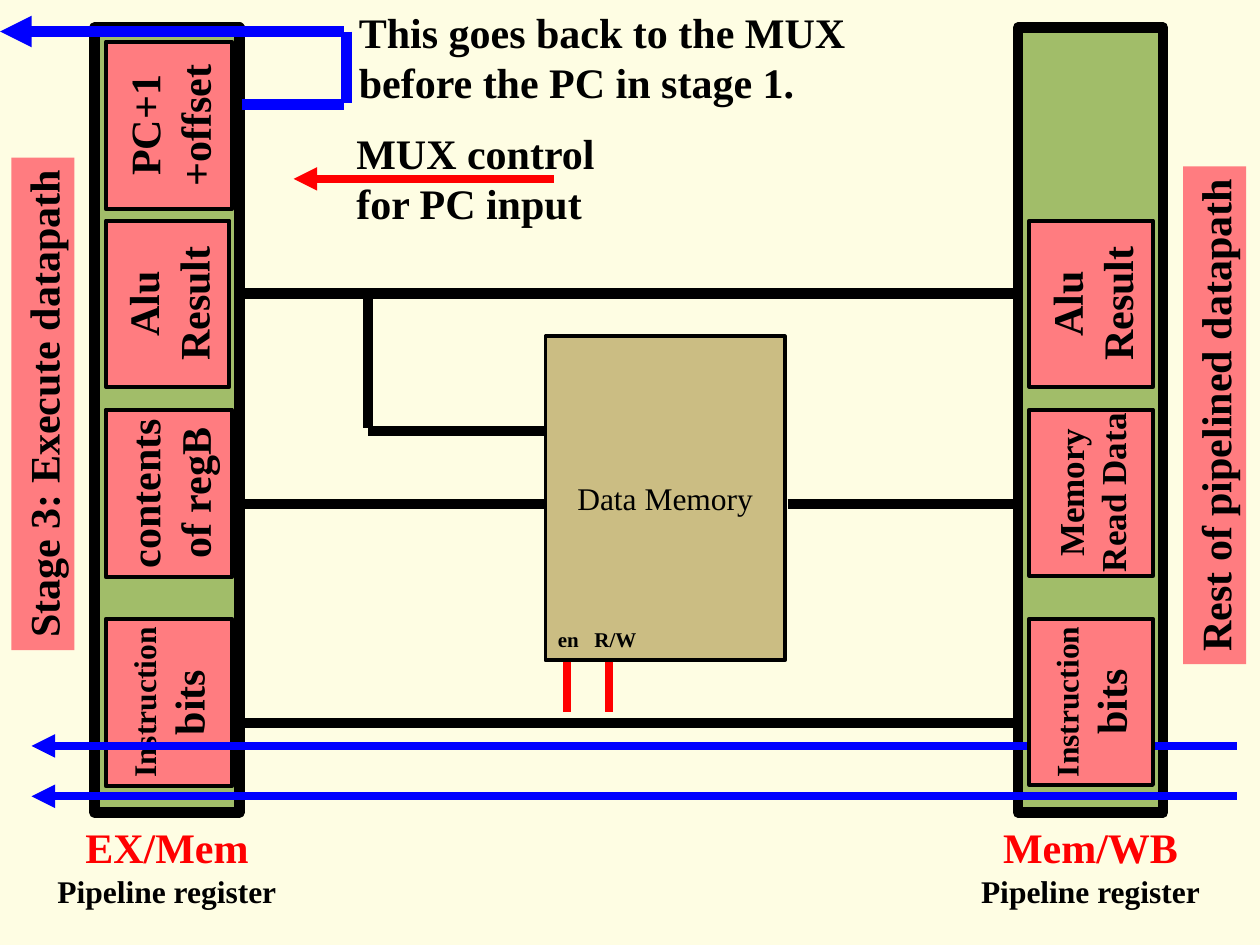
from dataclasses import dataclass

from lxml import etree
from pptx import Presentation
from pptx.dml.color import RGBColor
from pptx.enum import shapes, text
from pptx.oxml import ns
from pptx.util import Inches, Pt

BLACK = RGBColor(0x00, 0x00, 0x00)
RED = RGBColor(0xFF, 0x00, 0x00)
BLUE = RGBColor(0x00, 0x00, 0xFF)
CREAM = RGBColor(0xFE, 0xFD, 0xE3)
GREEN = RGBColor(0xA1, 0xBD, 0x69)
PINK = RGBColor(0xFF, 0x7C, 0x80)
TAN = RGBColor(0xCB, 0xBD, 0x83)
FONT = "Times New Roman"
LEFT, CENTER = text.PP_ALIGN.LEFT, text.PP_ALIGN.CENTER


@dataclass
class Line:
    """One paragraph of a label."""
    words: str
    size: float = 24
    color: RGBColor = BLACK
    bold: bool = True


@dataclass
class Wire:
    x1: float
    y1: float
    x2: float
    y2: float
    color: RGBColor = BLACK
    width: float = 6
    arrow: bool = False


@dataclass
class Field:
    """A value held in a pipeline register."""
    top: float
    lines: list[Line]


def write(sp, lines: list[Line], align, wrap: bool = False) -> None:
    tf = sp.text_frame
    tf.word_wrap = wrap
    for i, line in enumerate(lines):
        p = tf.paragraphs[0] if i == 0 else tf.add_paragraph()
        p.text, p.alignment = line.words, align
        p.font.name, p.font.size = FONT, Pt(line.size)
        p.font.bold, p.font.color.rgb = line.bold, line.color


def add_text(s, x: float, y: float, w: float, h: float,
             lines: list[Line], align=LEFT, wrap: bool = False) -> None:
    write(s.shapes.add_textbox(Inches(x), Inches(y), Inches(w), Inches(h)),
          lines, align, wrap)


def add_box(s, x: float, y: float, w: float, h: float, fill: RGBColor,
            border: float = 0, lines: list[Line] | None = None,
            align=CENTER, upward: bool = False) -> None:
    """Draw a box by its visible bounds; upward text turns it by 270 degrees."""
    if upward:
        x, y, w, h = x + (w - h) / 2, y + (h - w) / 2, h, w
    sp = s.shapes.add_shape(shapes.MSO_SHAPE.RECTANGLE,
                            Inches(x), Inches(y), Inches(w), Inches(h))
    sp.rotation = 270 if upward else 0
    sp.shadow.inherit = False
    sp.fill.solid()
    sp.fill.fore_color.rgb = fill
    if border:
        sp.line.color.rgb, sp.line.width = BLACK, Pt(border)
    else:
        sp.line.fill.background()
    if lines:
        sp.text_frame.vertical_anchor = text.MSO_ANCHOR.MIDDLE
        write(sp, lines, align)


def add_wire(s, wire: Wire) -> None:
    c = s.shapes.add_connector(shapes.MSO_CONNECTOR.STRAIGHT,
                               Inches(wire.x1), Inches(wire.y1),
                               Inches(wire.x2), Inches(wire.y2))
    c.line.color.rgb, c.line.width = wire.color, Pt(wire.width)
    if wire.arrow:
        etree.SubElement(c.line._get_or_add_ln(), ns.qn("a:headEnd"), type="triangle")
    etree.SubElement(c._element.spPr, ns.qn("a:effectLst"))


def add_register(s, x: float, name: str) -> None:
    add_box(s, x, 0.22, 1.15, 6.23, GREEN, 6)
    add_text(s, x - 0.75, 6.47, 2.65, 0.8,
             [Line(name, color=RED), Line("Pipeline register", 18)], CENTER, True)


def add_fields(s, register_x: float, width: float, height: float,
               fields: list[Field]) -> None:
    for f in fields:
        add_box(s, register_x + 0.09, f.top, width, height, PINK, 2.25,
                f.lines, upward=True)


def main() -> None:
    prs = Presentation()
    prs.slide_width, prs.slide_height = Inches(10), Inches(7.5)
    s = prs.slides.add_slide(prs.slide_layouts[6])
    s.background.fill.solid()
    s.background.fill.fore_color.rgb = CREAM

    ex_mem, mem_wb = 0.75, 8.08
    alu = Field(1.75, [Line("Alu"), Line("Result")])
    instruction = Field(4.91, [Line("Instruction", 18), Line("bits")])

    # Pipeline registers and stage labels
    add_register(s, mem_wb, "Mem/WB")
    add_wire(s, Wire(1.92, 2.33, 8.07, 2.33))
    add_box(s, 9.39, 1.32, 0.5, 3.95, PINK, 0,
            [Line("Rest of pipelined datapath")], LEFT, True)
    add_register(s, ex_mem, "EX/Mem")
    add_box(s, 0.09, 1.25, 0.5, 3.91, PINK, 0,
            [Line("Stage 3: Execute datapath")], LEFT, True)
    add_fields(s, ex_mem, 0.98, 1.32, [alu])
    add_fields(s, ex_mem, 1, 1.33, [
        instruction,
        Field(0.33, [Line("PC+1"), Line("+offset")]),
        Field(3.25, [Line("contents"), Line("of regB")]),
    ])

    # Write-back arrows and the path back to the PC
    for wire in (
        Wire(0.25, 6.32, 9.82, 6.32, BLUE, 4.5, True),
        Wire(0.25, 5.92, 9.82, 5.92, BLUE, 4.5, True),
        Wire(0, 0.25, 2.73, 0.25, BLUE, arrow=True),
        Wire(1.92, 0.83, 2.73, 0.83, BLUE),
        Wire(2.75, 0.25, 2.75, 0.82, BLUE),
    ):
        add_wire(s, wire)
    add_text(s, 2.75, 0, 4.06, 0.9,
             [Line("This goes back to the MUX"), Line("before the PC in stage 1.")])

    # Values passed on to write-back
    add_fields(s, mem_wb, 0.98, 1.32, [
        alu,
        Field(3.25, [Line("Memory", 20), Line("Read Data", 20)]),
        instruction,
    ])

    # Data memory with its wires and control inputs
    add_box(s, 4.33, 2.67, 1.9, 2.57, TAN, 2.25,
            [Line("Data Memory", 18, bold=False)])
    for wire in (
        Wire(1.92, 4, 4.32, 4),
        Wire(2.92, 3.42, 4.32, 3.42),
        Wire(6.25, 4, 8.07, 4),
        Wire(2.92, 2.33, 2.92, 3.4),
        Wire(1.92, 5.74, 8.07, 5.74),
    ):
        add_wire(s, wire)
    for label, label_x, width, x in (("en", 4.33, 0.37, 4.5),
                                     ("R/W", 4.62, 0.53, 4.83)):
        add_text(s, label_x, 4.92, width, 0.3, [Line(label, 12)])
        add_wire(s, Wire(x, 5.25, x, 5.65, RED, 4.5))

    # Control signal for the PC multiplexer
    add_wire(s, Wire(2.33, 1.42, 4.4, 1.42, RED, 4.5, True))
    add_text(s, 2.73, 0.96, 2.1, 0.9, [Line("MUX control"), Line("for PC input")])

    prs.save("out.pptx")


if __name__ == "__main__":
    main()
